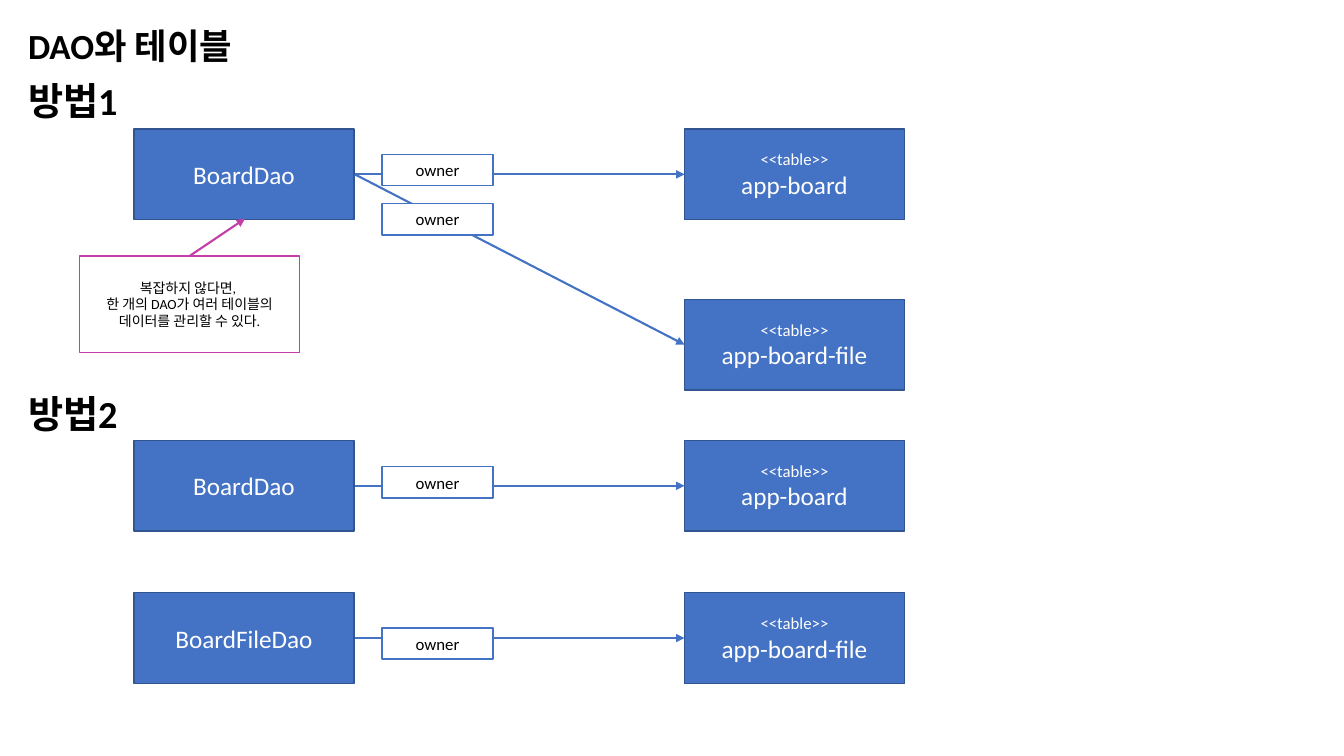
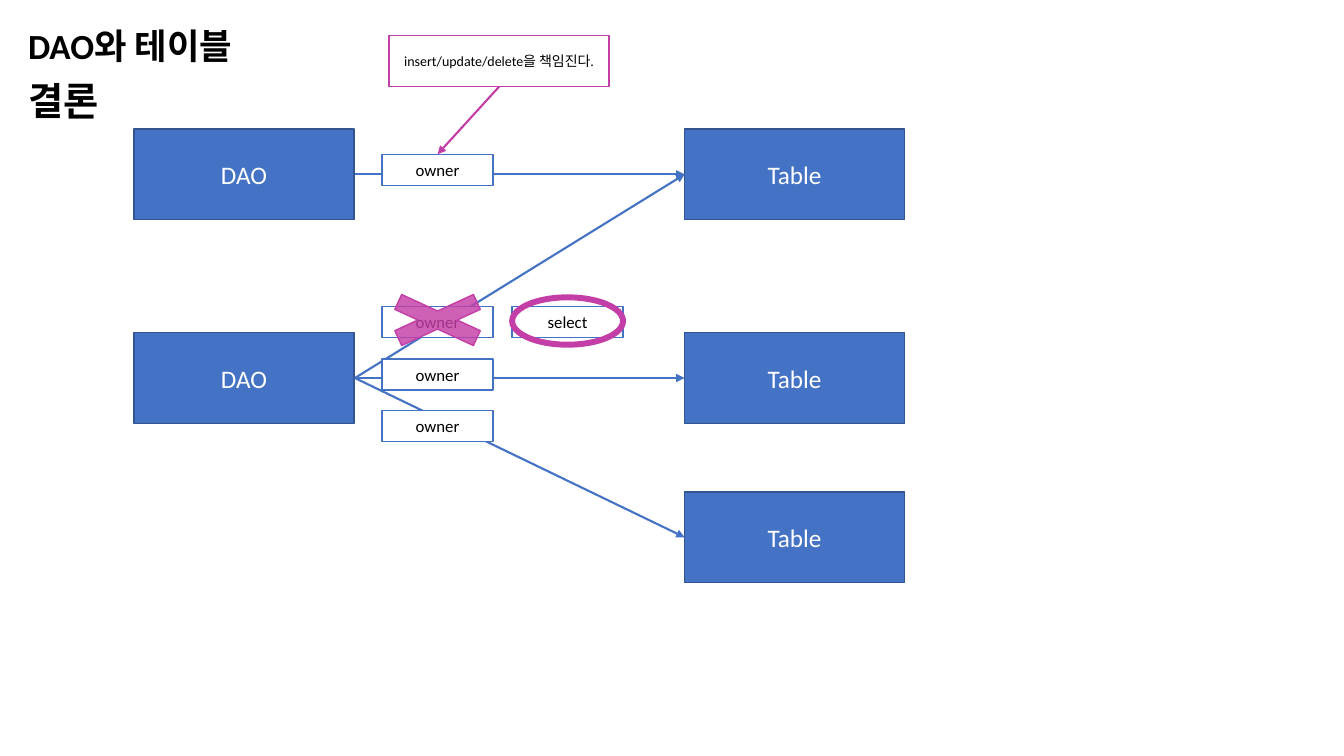
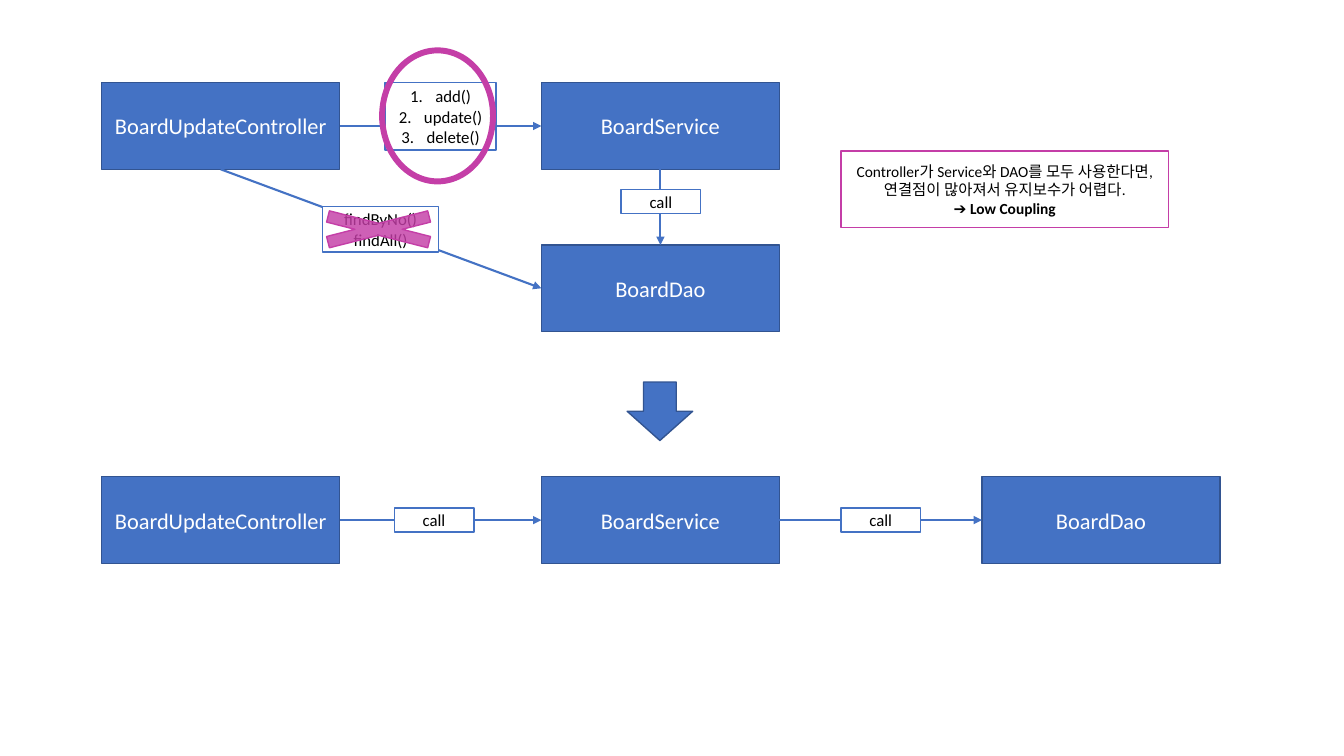
from pptx import Presentation
from pptx.dml.color import RGBColor
from pptx.enum.shapes import MSO_CONNECTOR, MSO_SHAPE as SHAPE
from pptx.enum.text import MSO_ANCHOR, PP_ALIGN
from pptx.oxml.ns import qn
from pptx.util import Inches, Pt
from lxml.etree import SubElement

FONT = "Calibri"
COLORS = {"blue": "4472C4", "navy": "325491", "pink": "C43EA7",
          "white": "FFFFFF", "black": "000000"}
STYLES = {
    "entity": ("blue", "navy", 1, "white", 18),
    "label": ("white", "blue", 1, "black", 12),
    "note": ("white", "pink", 1, "black", 10),
    "cross": ("pink", "pink", 1, "black", 12),
    "ring": (None, "pink", 4.25, "black", 12),
}


def box(slide, at, style, *lines, shape=SHAPE.RECTANGLE, size=None):
    fill, line, weight, ink, default_size = STYLES[style]
    item = slide.shapes.add_shape(shape, *map(Inches, at))
    item.shadow.inherit = False
    if fill:
        item.fill.solid()
        item.fill.fore_color.rgb = RGBColor.from_string(COLORS[fill])
    else:
        item.fill.background()
    item.line.color.rgb = RGBColor.from_string(COLORS[line])
    item.line.width = Pt(weight)
    frame = item.text_frame
    frame.word_wrap = True
    frame.vertical_anchor = MSO_ANCHOR.MIDDLE
    for i, words in enumerate(lines):
        paragraph = frame.add_paragraph() if i else frame.paragraphs[0]
        paragraph.alignment = PP_ALIGN.CENTER
        for text in [words] if isinstance(words, str) else words:
            run = paragraph.add_run()
            run.text = text
            run.font.name = FONT
            run.font.size = Pt(size or default_size)
            run.font.color.rgb = RGBColor.from_string(COLORS[ink])
    if style == "cross":
        color = item.fill._xPr.find(qn("a:solidFill"))[0]
        SubElement(color, qn("a:alpha"), val="82000")
    return item


def arrow(slide, start, end, color="blue"):
    link = slide.shapes.add_connector(
        MSO_CONNECTOR.STRAIGHT, *map(Inches, (*start, *end)))
    link.line.color.rgb = RGBColor.from_string(COLORS[color])
    link.line.width = Pt(1.5)
    SubElement(link.line._get_or_add_ln(), qn("a:tailEnd"), type="triangle")
    SubElement(link._element.spPr, qn("a:effectLst"))


deck = Presentation()
deck.slide_width, deck.slide_height = Inches(13.33), Inches(7.5)
methods, conclusion, coupling = [
    deck.slides.add_slide(deck.slide_layouts[6]) for _ in range(3)]

HEADINGS = [
    (methods, 0.22, "DAO와 테이블", 25.2),
    (methods, 0.77, "방법1", 27.3),
    (methods, 3.87, "방법2", 27.3),
    (conclusion, 0.22, "DAO와 테이블", 25.2),
    (conclusion, 0.77, "결론", 27.3),
]
for slide, top, text, size in HEADINGS:
    frame = slide.shapes.add_textbox(
        Inches(0.18), Inches(top), Inches(4.12), Inches(0.51)).text_frame
    frame.word_wrap = True
    frame.vertical_anchor = MSO_ANCHOR.MIDDLE
    frame.paragraphs[0].line_spacing = 0.9
    run = frame.paragraphs[0].add_run()
    run.text = text
    run.font.name, run.font.size, run.font.bold = FONT, Pt(size), True
    run.font.color.rgb = RGBColor.from_string(COLORS["black"])

DAO_X, TABLE_X, OWNER_X = 1.33, 6.79, 3.79
WIDTH, HEIGHT = 2.18, 0.9
DAO_RIGHT, MIDDLE = 3.52, 0.45
OWNER_SIZE = (1.1, 0.31)

for top, name in [(1.28, "BoardDao"), (4.37, "BoardDao"), (5.88, "BoardFileDao")]:
    box(methods, (DAO_X, top, WIDTH, HEIGHT), "entity", name)
for top, name in [(1.28, "app-board"), (2.97, "app-board-file"),
                  (4.37, "app-board"), (5.88, "app-board-file")]:
    table = box(methods, (TABLE_X, top, WIDTH, HEIGHT), "entity", "<<table>>", name)
    table.text_frame.paragraphs[0].runs[0].font.size = Pt(12)
for dao_top, table_top in [(1.28, 1.28), (1.28, 2.97), (4.37, 4.37), (5.88, 5.88)]:
    arrow(methods, (DAO_RIGHT, dao_top + MIDDLE), (TABLE_X, table_top + MIDDLE))
for top in (1.53, 2.02, 4.63, 6.23):
    box(methods, (OWNER_X, top, *OWNER_SIZE), "label", "owner")
box(methods, (0.79, 2.54, WIDTH, 0.96), "note", "복잡하지 않다면, ",
    "한 개의 DAO가 여러 테이블의 데이터를 관리할 수 있다.")
arrow(methods, (1.88, 2.54), (2.43, 2.17), "pink")

for top in (1.28, 3.3):
    box(conclusion, (DAO_X, top, WIDTH, HEIGHT), "entity", "DAO")
for top in (1.28, 3.3, 4.88):
    box(conclusion, (TABLE_X, top, WIDTH, HEIGHT), "entity", "Table")
for dao_top, table_top in [(1.28, 1.28), (3.3, 3.3), (3.3, 4.88), (3.3, 1.28)]:
    arrow(conclusion, (DAO_RIGHT, dao_top + MIDDLE), (TABLE_X, table_top + MIDDLE))
for top in (1.53, 3.04, 3.56, 4.07):
    box(conclusion, (OWNER_X, top, *OWNER_SIZE), "label", "owner")
box(conclusion, (3.86, 0.35, WIDTH, 0.51), "note", "insert/update/delete을 책임진다.")
arrow(conclusion, (4.95, 0.86), (4.34, 1.53), "pink")
box(conclusion, (3.59, 2.83, 1.5, 0.69), "cross", shape=SHAPE.MATH_MULTIPLY)
box(conclusion, (5.08, 3.04, *OWNER_SIZE), "label", "select")
box(conclusion, (5.08, 2.95, 1.1, 0.47), "ring", shape=SHAPE.OVAL)

for left, top, name in [
        (1.01, 0.82, "BoardUpdateController"), (5.37, 0.82, "BoardService"),
        (5.37, 2.43, "BoardDao"), (1.01, 4.73, "BoardUpdateController"),
        (5.37, 4.73, "BoardService"), (9.74, 4.73, "BoardDao")]:
    box(coupling, (left, top, 2.36, 0.86), "entity", name, size=16)
for start, end in [((3.37, 1.25), (5.37, 1.25)), ((2.19, 1.68), (5.37, 2.86)),
                   ((6.55, 1.68), (6.55, 2.43)), ((3.37, 5.16), (5.37, 5.16)),
                   ((7.73, 5.16), (9.74, 5.16))]:
    arrow(coupling, start, end)
for left, top in [(6.16, 1.88), (3.91, 5.04), (8.34, 5.04)]:
    box(coupling, (left, top, 0.79, 0.24), "label", "call")

commands = box(coupling, (3.82, 0.82, 1.1, 0.67), "label",
               "add()", "update()", "delete()")
for paragraph in commands.text_frame.paragraphs:
    properties = paragraph._p.get_or_add_pPr()
    properties.set("marL", str(Inches(0.25)))
    properties.set("indent", str(-Inches(0.25)))
    SubElement(properties, qn("a:buAutoNum"), type="arabicPeriod")
box(coupling, (3.2, 2.05, 1.15, 0.45), "label", "findByNo()", "findAll()")
box(coupling, (2.79, 2.03, 1.93, 0.49), "cross", shape=SHAPE.MATH_MULTIPLY)
box(coupling, (3.79, 0.5, 1.1, 1.3), "ring", shape=SHAPE.OVAL)

advice = box(coupling, (8.34, 1.5, 3.25, 0.76), "note",
             "Controller가 Service와 DAO를 모두 사용한다면,",
             "연결점이 많아져서 유지보수가 어렵다.",
             ("➔ ", "Low Coupling"), size=11)
advice.text_frame.paragraphs[2].runs[1].font.bold = True
box(coupling, (6.22, 3.79, 0.65, 0.58), "entity", shape=SHAPE.DOWN_ARROW)

deck.save("out.pptx")
